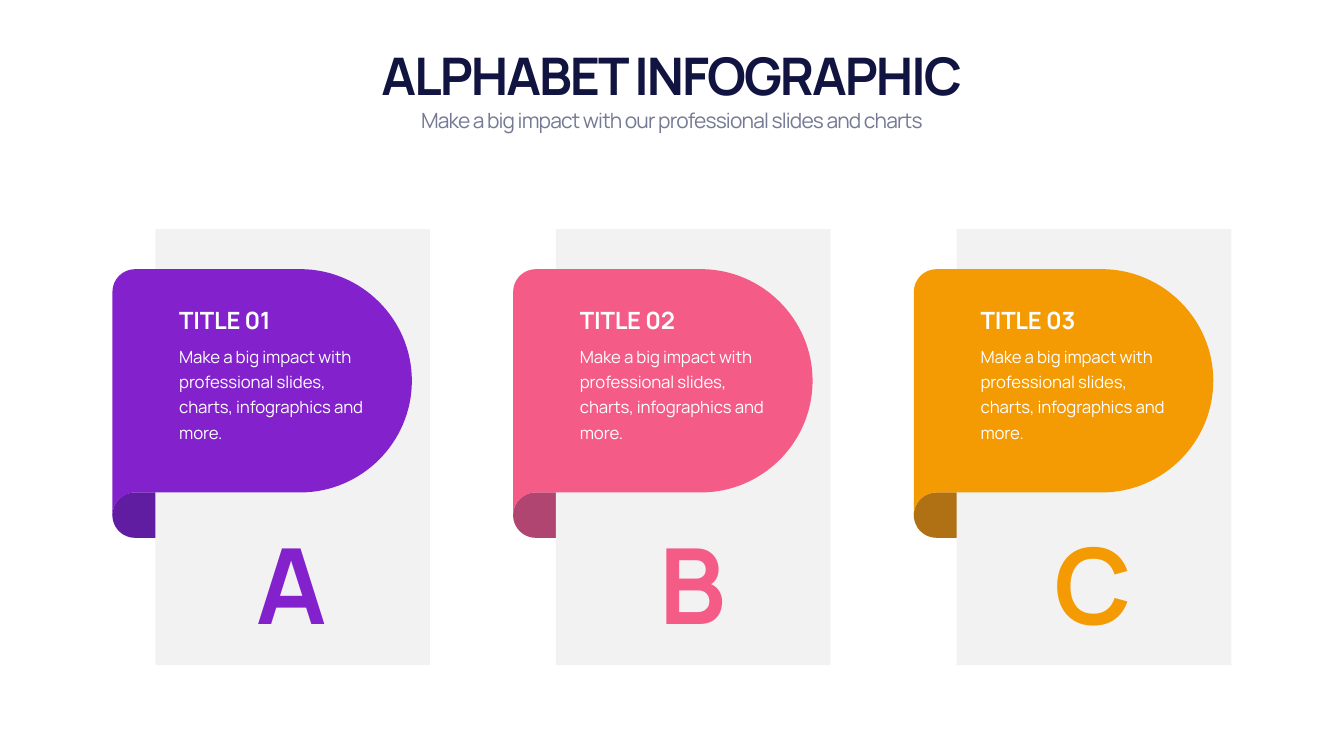
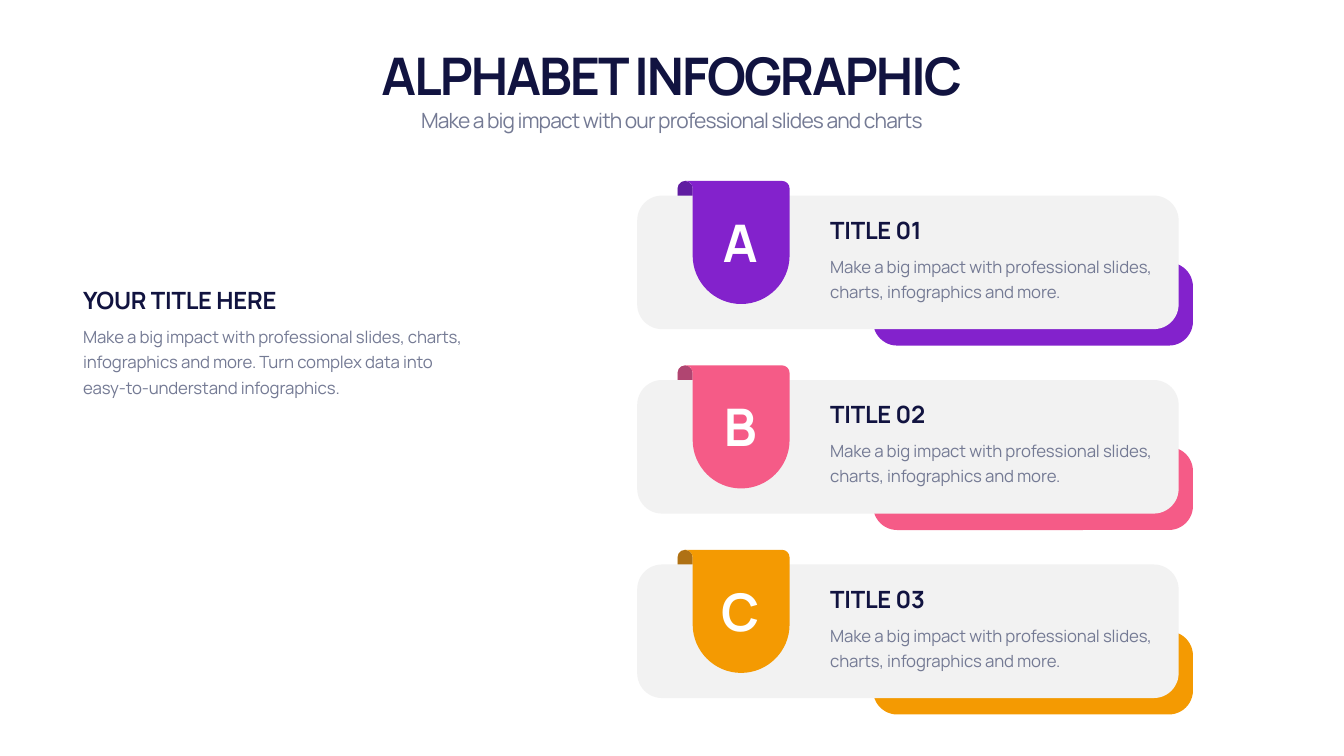
import math

import pptx
import pptx.dml.color
import pptx.enum.shapes
import pptx.enum.text
import pptx.oxml
import pptx.oxml.ns
import pptx.util

Pt = pptx.util.Pt
PRESET = pptx.enum.shapes.MSO_SHAPE
ALIGN = pptx.enum.text.PP_ALIGN
ANCHOR = pptx.enum.text.MSO_ANCHOR
AUTO_SIZE = pptx.enum.text.MSO_AUTO_SIZE

COLOURS = {
    "purple": "8322CC", "pink": "F55B87", "orange": "F49A02",
    "navy": "111340", "slate": "747A94", "card": "F2F2F2", "white": "FFFFFF",
}
FONT = "Manrope"

TITLE = "ALPHABET INFOGRAPHIC"
SUBTITLE = "Make a big impact with our professional slides and charts"
ITEM_BODY = "Make a big impact with professional slides, charts, infographics and more."
ITEMS = [("A", "TITLE 01", "purple"), ("B", "TITLE 02", "pink"), ("C", "TITLE 03", "orange")]
INTRO_HEADING = "YOUR TITLE HERE"
INTRO_BODY = ("Make a big impact with professional slides, charts, infographics and more. "
              "Turn complex data into easy-to-understand infographics.")

# Size, bold, letter spacing, exact line height, alignment and anchor
STYLES = {
    "title": (74, True, -2.9, 94, ALIGN.CENTER, ANCHOR.BOTTOM),
    "subtitle": (30, False, -1.2, 42, ALIGN.CENTER, ANCHOR.TOP),
    "heading": (34, True, -0.3, None, ALIGN.LEFT, ANCHOR.BOTTOM),
    "body": (24, False, -0.2, 36, ALIGN.LEFT, ANCHOR.TOP),
    "big letter": (150, True, -2.9, None, ALIGN.CENTER, ANCHOR.MIDDLE),
    "tab letter": (74, True, -2.9, None, ALIGN.CENTER, ANCHOR.MIDDLE),
}

SLIDE_SIZE = (1919.52, 1080)
TITLE_BOX = (119.5, 53.8, 1679.8, 101.2)
SUBTITLE_BOX = (119.5, 143.8, 1679.8, 49.2)
HEADING_HEIGHT = 48.2
BODY_OFFSET = 51.8

COLUMN_LEFT, COLUMN_PITCH = 160.56, 572.3
ROW_TOP, ROW_PITCH = 258.5, 263.5
QUARTER_HANDLE = 0.55  # Bezier handle length of a quarter circle, in radii


def rgb(name):
    return pptx.dml.color.RGBColor.from_string(COLOURS[name])


def paint(shape, colour, opacity=None):
    """Give a shape a flat fill without line or shadow."""
    shape.shadow.inherit = False
    shape.line.fill.background()
    shape.fill.solid()
    shape.fill.fore_color.rgb = rgb(colour)
    if opacity:
        colour_element = shape.fill._xPr.find(".//" + pptx.oxml.ns.qn("a:srgbClr"))
        alpha = pptx.oxml.parse_xml(
            f'<a:alpha {pptx.oxml.ns.nsdecls("a")} val="{opacity * 1000}"/>')
        colour_element.append(alpha)


def add_block(slide, preset, box, colour, corner=None, opacity=None):
    shape = slide.shapes.add_shape(preset, *map(Pt, box))
    if corner is not None:
        shape.adjustments[0] = corner
    paint(shape, colour, opacity)


def add_fold(slide, box, colour):
    """Draw the darkened back of a folded ribbon."""
    add_block(slide, PRESET.ROUNDED_RECTANGLE, box, colour, 0.5)
    add_block(slide, PRESET.ROUNDED_RECTANGLE, box, "navy", 0.5, 30)


def quarter(centre_x, centre_y, radius, start, turn=90):
    """Return the four Bezier points of a quarter circle; angles run clockwise."""
    first, last = math.radians(start), math.radians(start + turn)
    handle = math.copysign(QUARTER_HANDLE, turn)

    def point(angle, along):
        return (Pt(centre_x + radius * (math.cos(angle) - along * math.sin(angle))),
                Pt(centre_y + radius * (math.sin(angle) + along * math.cos(angle))))

    return [point(first, 0), point(first, handle), point(last, -handle), point(last, 0)]


def add_outline(slide, quarters, colour):
    """Join quarter circles by straight lines into one closed outline."""
    corners = [end for curve in quarters for end in (curve[0], curve[-1])]
    builder = slide.shapes.build_freeform(*corners[0])
    builder.add_line_segments(corners[1:], close=True)
    shape = builder.convert_to_shape()
    lines = list(shape._element.iter(pptx.oxml.ns.qn("a:lnTo")))
    for line, curve in zip(lines[::2], quarters):
        points = "".join(f'<a:pt x="{x - shape.left}" y="{y - shape.top}"/>'
                         for x, y in curve[1:])
        bezier = pptx.oxml.parse_xml(
            f'<a:cubicBezTo {pptx.oxml.ns.nsdecls("a")}>{points}</a:cubicBezTo>')
        line.getparent().replace(line, bezier)
    paint(shape, colour)


def write(shape, box, text, style, colour):
    """Place a text shape and fill it with one styled paragraph."""
    size, bold, letter_spacing, line_height, alignment, anchor = STYLES[style]
    shape.left, shape.top, shape.width, shape.height = map(Pt, box)
    frame = shape.text_frame
    frame.word_wrap = True
    frame.auto_size = AUTO_SIZE.SHAPE_TO_FIT_TEXT
    frame.vertical_anchor = anchor
    paragraph = frame.paragraphs[0]
    paragraph.alignment = alignment
    paragraph.space_before = Pt(0)
    if line_height:
        paragraph.line_spacing = Pt(line_height)
    run = paragraph.add_run()
    run.text = text
    run.font.name = FONT
    run.font.size = Pt(size)
    run.font.bold = bold
    run.font.color.rgb = rgb(colour)
    run._r.get_or_add_rPr().set("spc", str(round(letter_spacing * 100)))


def add_text(slide, box, text, style, colour):
    write(slide.shapes.add_textbox(*map(Pt, box)), box, text, style, colour)


def add_copy(slide, left, top, width, body_height, heading, body, colours):
    """Add a heading with its body text below."""
    add_text(slide, (left, top, width, HEADING_HEIGHT), heading, "heading", colours[0])
    add_text(slide, (left, top + BODY_OFFSET, width, body_height), body, "body", colours[1])


def add_titled_slide(presentation):
    slide = presentation.slides.add_slide(presentation.slide_layouts[0])
    write(slide.shapes.title, TITLE_BOX, TITLE, "title", "navy")
    write(slide.placeholders[1], SUBTITLE_BOX, SUBTITLE, "subtitle", "slate")
    return slide


def add_column(slide, left, letter, heading, colour):
    curl, curve = 32.4, 159.5
    top = 384.5
    bottom = top + 2 * curve
    add_fold(slide, (left, bottom, 146.9, 2 * curl), colour)
    add_block(slide, PRESET.RECTANGLE, (left + 61.2, 327.4, 392.3, 622.8), "card")
    banner = [quarter(left + 268.2, top + curve, curve, -90),
              quarter(left + 268.2, top + curve, curve, 0),
              quarter(left + curl, bottom + curl, curl, -90, -90),
              quarter(left + curl, top + curl, curl, 180)]
    add_outline(slide, banner, colour)
    add_text(slide, (left + 160, 737.3, 192.2, 189.4), letter, "big letter", colour)
    add_copy(slide, left + 88.3, 432.7, 294.5, 150.5, heading, ITEM_BODY, ("white", "white"))


def add_row(slide, top, letter, heading, colour):
    fold_left, corner, curve = 967.7, 10.8, 69.2
    tab_left = fold_left + 2 * corner
    tab_right = tab_left + 2 * curve
    add_block(slide, PRESET.ROUNDED_RECTANGLE, (1247, top + 116.6, 456.8, 118.6), colour, 0.29)
    add_fold(slide, (fold_left, top, 2 * corner, 47.5), colour)
    add_block(slide, PRESET.ROUNDED_RECTANGLE, (910.1, top + 20.9, 773.3, 190.8), "card", 0.186)
    tab = [quarter(tab_left + curve, top + 106.6, curve, 0),
           quarter(tab_left + curve, top + 106.6, curve, 90),
           quarter(fold_left + corner, top + corner, corner, 0, -90),
           quarter(tab_right - corner, top + corner, corner, -90)]
    add_outline(slide, tab, colour)
    add_text(slide, (1009.4, top + 37.9, 95.8, 97.2), letter, "tab letter", "white")
    add_copy(slide, 1178.6, top + 45.4, 483.8, 77.8, heading, ITEM_BODY, ("navy", "slate"))


def main():
    presentation = pptx.Presentation()
    presentation.slide_width, presentation.slide_height = map(Pt, SLIDE_SIZE)

    columns_slide = add_titled_slide(presentation)
    for index, item in enumerate(ITEMS):
        add_column(columns_slide, COLUMN_LEFT + index * COLUMN_PITCH, *item)

    rows_slide = add_titled_slide(presentation)
    for index, item in enumerate(ITEMS):
        add_row(rows_slide, ROW_TOP + index * ROW_PITCH, *item)
    add_copy(rows_slide, 111.6, 404.5, 561.6, 113.8, INTRO_HEADING, INTRO_BODY, ("navy", "slate"))

    presentation.save("out.pptx")


if __name__ == "__main__":
    main()
